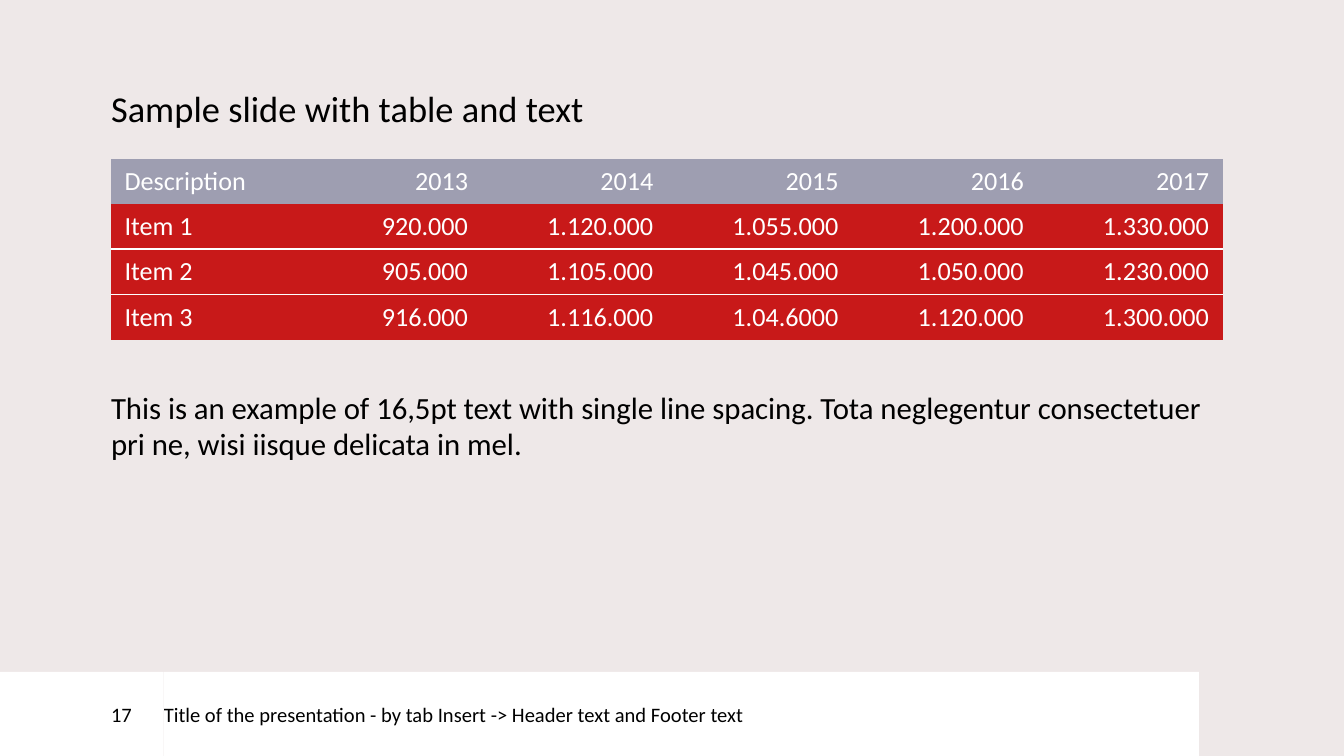
from dataclasses import dataclass

import pptx
import pptx.dml.color
import pptx.enum.shapes
import pptx.enum.text
import pptx.oxml
import pptx.oxml.ns
import pptx.util

Pt = pptx.util.Pt
RGBColor = pptx.dml.color.RGBColor
Anchor = pptx.enum.text.MSO_ANCHOR
Align = pptx.enum.text.PP_ALIGN


@dataclass(frozen=True)
class Theme:
    font: str = "Calibri"
    background: str = "EEE8E8"
    ink: str = "000000"
    white: str = "FFFFFF"
    header: str = "9E9EB1"
    row: str = "C81919"
    title_size: float = 19.5
    body_size: float = 16.5
    table_size: float = 14
    footer_size: float = 11


@dataclass(frozen=True)
class Box:
    left: float
    top: float
    width: float
    height: float

    def lengths(self) -> tuple:
        return Pt(self.left), Pt(self.top), Pt(self.width), Pt(self.height)


@dataclass(frozen=True)
class FooterPart:
    text: str
    box: Box
    inset: float


THEME = Theme()
MARGIN = 59.5
CONTENT_WIDTH = 595.5
FOOTER_TOP = 360
FOOTER_HEIGHT = 45
NUMBER_WIDTH = 87.75
PLAIN_TABLE_STYLE = "{2D5ABB26-0587-4C30-8999-92F81FD0307C}"

TITLE_BOX = Box(MARGIN, 46, CONTENT_WIDTH, 40)
BODY_BOX = Box(MARGIN, 208, CONTENT_WIDTH, 125)
TABLE_BOX = Box(MARGIN, 85, CONTENT_WIDTH, 96)

FOOTER_PARTS = [
    FooterPart(
        "Title of the presentation - by tab Insert -> Header text and Footer text",
        Box(NUMBER_WIDTH, FOOTER_TOP, 554.5, FOOTER_HEIGHT),
        0,
    ),
    FooterPart("17", Box(0, FOOTER_TOP, NUMBER_WIDTH, FOOTER_HEIGHT), MARGIN),
]

TABLE_ROWS = [
    ["Description", "2013", "2014", "2015", "2016", "2017"],
    ["Item 1", "920.000", "1.120.000", "1.055.000", "1.200.000", "1.330.000"],
    ["Item 2", "905.000", "1.105.000", "1.045.000", "1.050.000", "1.230.000"],
    ["Item 3", "916.000", "1.116.000", "1.04.6000", "1.120.000", "1.300.000"],
]


def style_paragraph(paragraph, size: float, color: str, alignment=Align.LEFT) -> None:
    paragraph.alignment = alignment
    paragraph.font.name = THEME.font
    paragraph.font.size = Pt(size)
    paragraph.font.color.rgb = RGBColor.from_string(color)


def write_text(shape, text: str, size: float, anchor=Anchor.TOP, inset: float = 0) -> None:
    frame = shape.text_frame
    frame.text = text
    frame.word_wrap = True
    frame.auto_size = pptx.enum.text.MSO_AUTO_SIZE.NONE
    frame.vertical_anchor = anchor
    frame.margin_left = Pt(inset)
    frame.margin_top = frame.margin_right = frame.margin_bottom = 0
    style_paragraph(frame.paragraphs[0], size, THEME.ink)


def add_title(slide, text: str) -> None:
    title = slide.shapes.title
    title.left, title.top, title.width, title.height = TITLE_BOX.lengths()
    write_text(title, text, THEME.title_size)


def add_footer_part(slide, part: FooterPart) -> None:
    shape = slide.shapes.add_shape(
        pptx.enum.shapes.MSO_SHAPE.RECTANGLE, *part.box.lengths()
    )
    shape.shadow.inherit = False
    shape.fill.solid()
    shape.fill.fore_color.rgb = RGBColor.from_string(THEME.white)
    shape.line.fill.background()
    write_text(shape, part.text, THEME.footer_size, Anchor.MIDDLE, part.inset)


def add_border(cell, side: str) -> None:
    namespace = pptx.oxml.ns.nsdecls("a")
    border = pptx.oxml.parse_xml(
        f'<a:{side} {namespace} w="{Pt(1)}"><a:solidFill>'
        f'<a:srgbClr val="{THEME.white}"/></a:solidFill></a:{side}>'
    )
    cell._tc.get_or_add_tcPr().append(border)


def add_data_table(slide, rows: list[list[str]]) -> None:
    table = slide.shapes.add_table(len(rows), len(rows[0]), *TABLE_BOX.lengths()).table
    table.horz_banding = False
    style = table._tbl.tblPr.find(pptx.oxml.ns.qn("a:tableStyleId"))
    style.text = PLAIN_TABLE_STYLE
    for row_index, values in enumerate(rows):
        for column_index, value in enumerate(values):
            cell = table.cell(row_index, column_index)
            cell.text = value
            cell.vertical_anchor = Anchor.MIDDLE
            if row_index > 1:
                add_border(cell, "lnT")
            if 0 < row_index < len(rows) - 1:
                add_border(cell, "lnB")
            cell.fill.solid()
            color = THEME.row if row_index else THEME.header
            cell.fill.fore_color.rgb = RGBColor.from_string(color)
            style_paragraph(
                cell.text_frame.paragraphs[0],
                THEME.table_size,
                THEME.white,
                Align.RIGHT if column_index else Align.LEFT,
            )


def main() -> None:
    presentation = pptx.Presentation()
    presentation.slide_width = Pt(720)
    presentation.slide_height = Pt(405)
    slide = presentation.slides.add_slide(presentation.slide_layouts[5])
    slide.background.fill.solid()
    slide.background.fill.fore_color.rgb = RGBColor.from_string(THEME.background)

    add_title(slide, "Sample slide with table and text")
    body = slide.shapes.add_textbox(*BODY_BOX.lengths())
    write_text(
        body,
        "This is an example of 16,5pt text with single line spacing. "
        "Tota neglegentur consectetuer pri ne, wisi iisque delicata in mel.",
        THEME.body_size,
    )
    for part in FOOTER_PARTS:
        add_footer_part(slide, part)
    add_data_table(slide, TABLE_ROWS)

    presentation.save("out.pptx")


if __name__ == "__main__":
    main()
